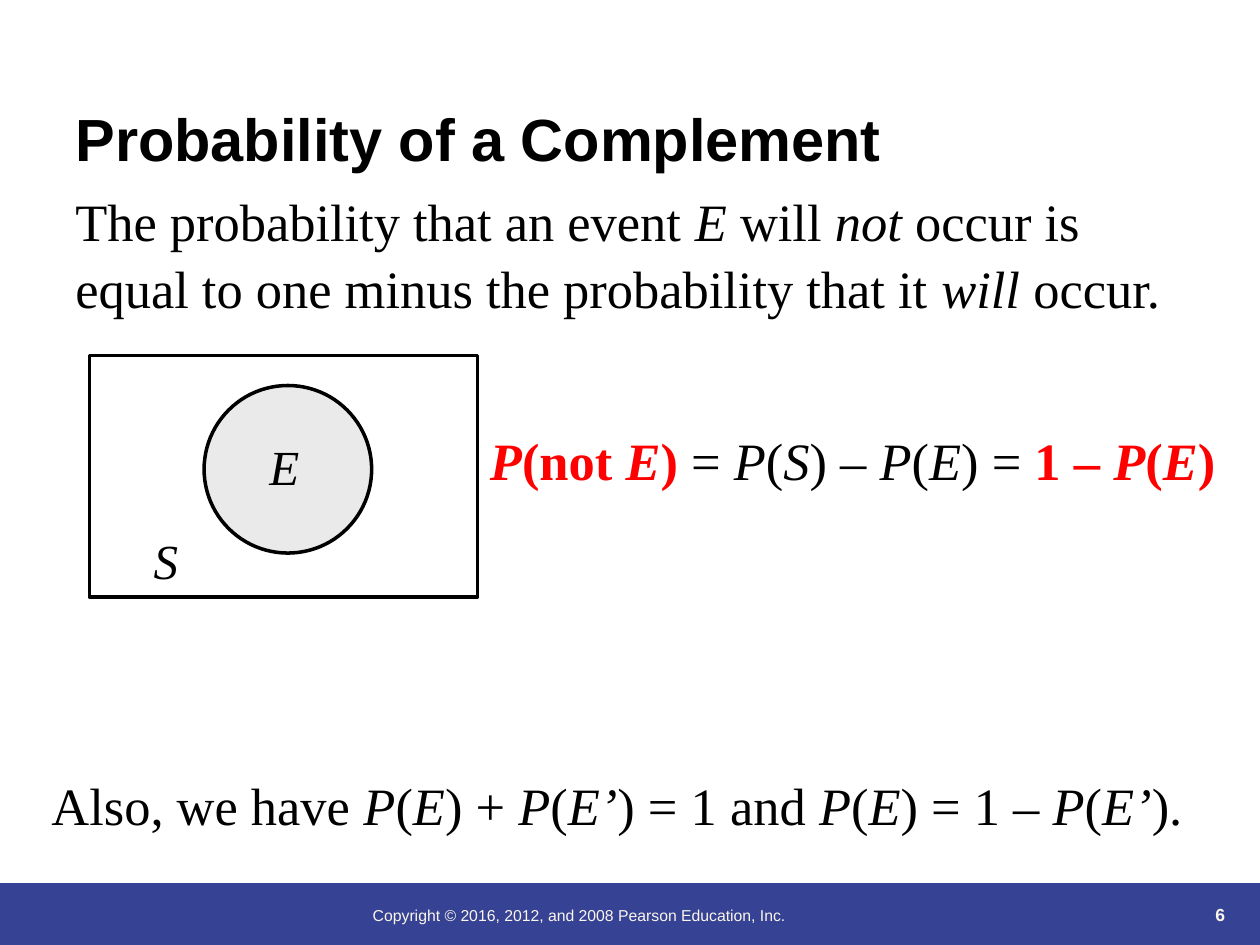
from pptx import Presentation
from pptx.dml.color import RGBColor
from pptx.enum.shapes import MSO_SHAPE as Shape
from pptx.enum.text import MSO_ANCHOR as Anchor, PP_ALIGN as Align
from pptx.oxml.ns import qn
from pptx.util import Inches, Pt
from lxml.etree import SubElement


class Theme:
    ink = RGBColor(0, 0, 0)
    accent = RGBColor(0xFF, 0, 0)
    band = RGBColor(0x36, 0x43, 0x95)
    footer = RGBColor(0xFB, 0xF5, 0xEA)
    event = RGBColor(0xC0, 0xC0, 0xC0)
    heading_font, body_font = "Arial", "Times New Roman"
    title, body, label, number, copyright = (Pt(n) for n in (34, 30, 28, 10, 9))
    outline = Pt(2)
    line_spacing = 1.05


def add_math(shapes, area, text, size):
    """Add a text box: *...* is italic, |...| is bold in the accent colour."""
    box = shapes.add_textbox(*map(Inches, area))
    box.text_frame.word_wrap = True
    para = box.text_frame.paragraphs[0]
    para.line_spacing = Theme.line_spacing
    for i, section in enumerate(text.split("|")):
        for j, words in enumerate(section.split("*")):
            if words:
                span = para.add_run()
                span.text = words
                span.font.name, span.font.size = Theme.body_font, size
                span.font.bold, span.font.italic = i % 2 == 1, j % 2 == 1
                span.font.color.rgb = Theme.accent if i % 2 else Theme.ink


def format_heading(box, text, size, colour, bold, align, anchor):
    """Set one line in the heading font."""
    frame = box.text_frame
    frame.text = text
    frame.word_wrap = True
    frame.vertical_anchor = anchor
    para = frame.paragraphs[0]
    para.alignment = align
    font = para.runs[0].font
    font.name, font.size, font.bold = Theme.heading_font, size, bold
    font.color.rgb = colour


deck = Presentation()
deck.slide_width, deck.slide_height = Inches(10), Inches(7.5)
page = deck.slides.add_slide(deck.slide_layouts[5])
shapes = page.shapes

# Footer band, copyright line and page number
band = shapes.add_shape(Shape.RECTANGLE, 0, Inches(7.01), deck.slide_width, Inches(0.49))
band.shadow.inherit = False
band.fill.solid()
band.fill.fore_color.rgb = Theme.band
band.line.fill.background()
for area, text, size, bold, align, anchor in (
    ((2.86, 7.14, 4.92, 0.36), "Copyright © 2016, 2012, and 2008 Pearson Education, Inc.",
     Theme.copyright, False, Align.LEFT, Anchor.TOP),
    ((8.9, 6.89, 0.92, 0.5), "6", Theme.number, True, Align.RIGHT, Anchor.BOTTOM),
):
    box = shapes.add_textbox(*map(Inches, area))
    format_heading(box, text, size, Theme.footer, bold, align, anchor)

# Title
title = shapes.title
title.left, title.top, title.width, title.height = map(Inches, (0.5, 0.18, 9, 1.25))
format_heading(title, "Probability of a Complement", Theme.title, Theme.ink, True,
               Align.LEFT, Anchor.BOTTOM)

# Statement, formula and closing remark
for area, text in (
    ((0.5, 1.43, 8.93, 1.1),
     "The probability that an event *E* will *not *occur is equal to "
     "one minus the probability that it *will *occur."),
    ((3.79, 3.32, 6.21, 0.61),
     "|*P*(not *E*)| = *P*(*S*) – *P*(*E*) = |1 – *P*(*E*)|"),
    ((0.31, 6.06, 9.38, 0.61),
     "Also, we have *P*(*E*) + *P*(*E’*) = 1 and *P*(*E*) = 1 – *P*(*E’*)."),
):
    add_math(shapes, area, text, Theme.body)

# Venn diagram: event E inside sample space S
venn = shapes.add_group_shape().shapes
space = venn.add_shape(Shape.RECTANGLE, *map(Inches, (0.71, 2.82, 3.08, 1.92)))
space.fill.background()
event = venn.add_shape(Shape.OVAL, *map(Inches, (1.62, 3.06, 1.33, 1.33)))
event.fill.solid()
event.fill.fore_color.rgb = Theme.event
colour = event.fill._xPr.find(qn("a:solidFill"))[0]
SubElement(colour, qn("a:alpha"), val="32000")
for outline in (space, event):
    outline.shadow.inherit = False
    outline.line.color.rgb = Theme.ink
    outline.line.width = Theme.outline
for name, left, top in (("S", 1.12, 4.14), ("E", 2.04, 3.39)):
    add_math(venn, (left, top, 0.42, 0.57), f"*{name}*", Theme.label)

deck.save("out.pptx")
